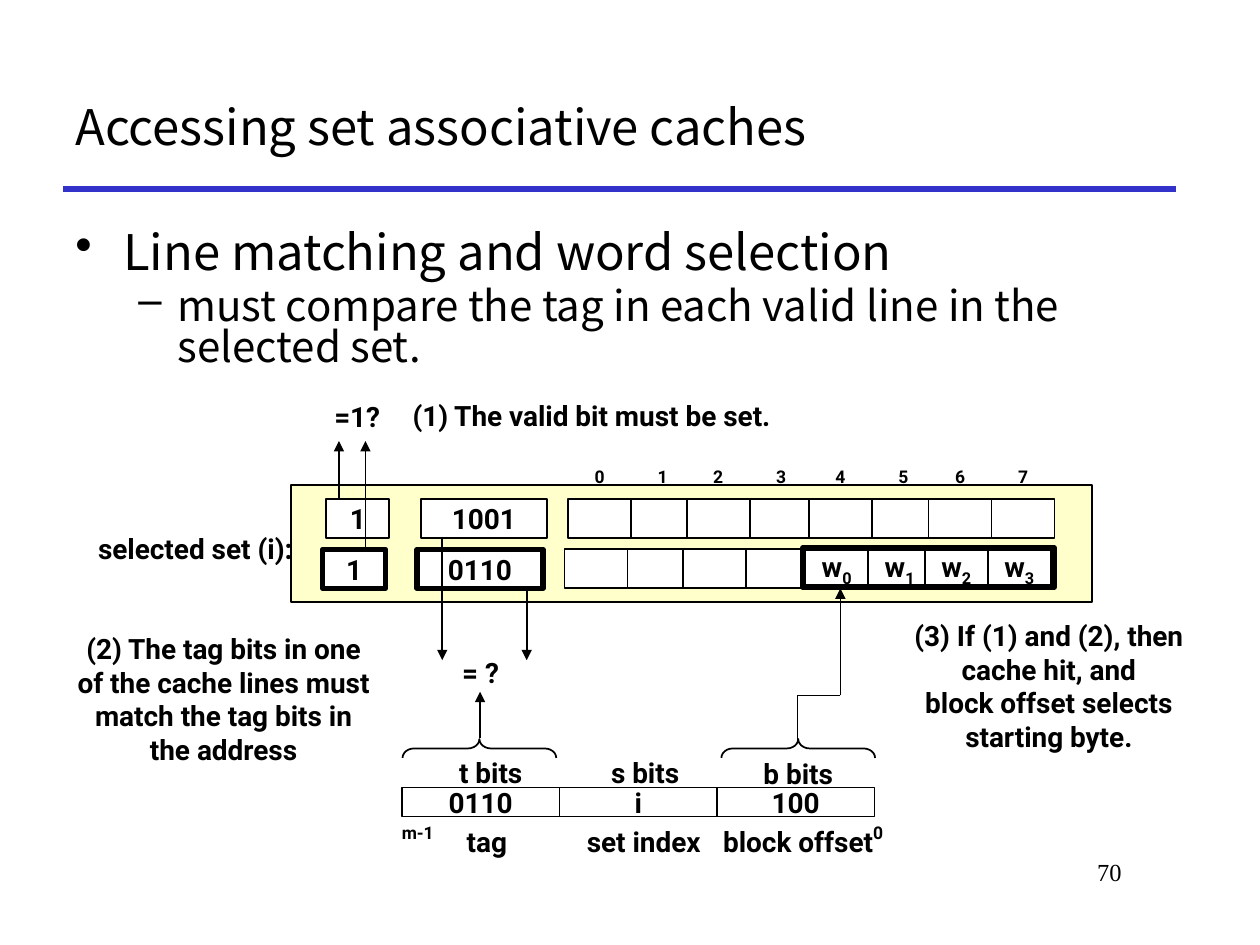
import itertools

import pptx
import pptx.chart.data
import pptx.dml.color
import pptx.enum.shapes
import pptx.enum.text
import pptx.oxml
import pptx.oxml.ns
import pptx.util
from pptx.util import Inches

SHAPE = pptx.enum.shapes.MSO_SHAPE
ALIGN = pptx.enum.text.PP_ALIGN
ANCHOR = pptx.enum.text.MSO_ANCHOR

THEME = {
    "ink": "000000", "rule": "3333CC", "set": "FFFF99", "cell": "FFFFFF",
    "thin": 1, "thick": 3,
    "title": {"name": "Noto Sans CJK KR", "size": 28, "bold": False},
    "detail": {"name": "Noto Sans CJK KR", "size": 24, "bold": False},
    "label": {"name": "Roboto", "size": 16, "bold": True},
    "small": {"name": "Roboto", "size": 10, "bold": True},
    "page": {"name": "Times New Roman", "size": 14, "bold": False},
}

TITLE = "Accessing set associative caches"
BULLETS = [
    ("Line matching and word selection", "title", "•", 0, 0.38, 0.38, 0),
    ("must compare the tag in each valid line in the selected set.",
     "detail", "–", 1, 0.81, 0.31, 4.8),
]
CACHE_LINES = [
    {"left": 2.59, "top": 3.96, "border": "thin", "valid": "1", "tag": "1001",
     "words": [""] * 8},
    {"left": 2.56, "top": 4.36, "border": "thick", "valid": "1", "tag": "0110",
     "words": [""] * 4 + ["w_0", "w_1", "w_2", "w_3"]},
]
WORD_OFFSETS = [1.92, 2.42, 2.86, 3.36, 3.83, 4.33, 4.78, 5.28]
CELL_W, CELL_H = 0.5, 0.31
SET_BOX = (2.31, 3.85, 6.36, 0.93)
SELECTED_WORDS = (6.37, 4.35, 2, CELL_H)
ADDRESS_FIELDS = ["0110", "i", "100"]
CAPTIONS = [
    ("t bits", (3.53, 5.95, 0.73, 0.36)),
    ("s bits", (4.73, 5.95, 0.78, 0.36)),
    ("b bits", (5.94, 5.96, 0.79, 0.36)),
    ("tag", (3.6, 6.5, 0.53, 0.36)),
    ("set index", (4.53, 6.5, 1.16, 0.36)),
    ("block offset", (5.61, 6.5, 1.45, 0.36)),
    ("selected set (i):", (0.64, 4.17, 1.82, 0.37)),
    ("=1?", (2.54, 3.12, 0.59, 0.37)),
    ("= ?", (3.55, 5.15, 0.53, 0.37)),
    ("(1) The valid bit must be set.", (3.1, 3.11, 3.19, 0.37)),
]
NOTES = [
    (["(2) The tag bits in one", "of the cache lines must",
      "match the tag bits in", "the address"], (0, 4.96, 3.55, 1.17)),
    (["(3) If (1) and (2), then", "cache hit, and",
      "block offset selects", "starting byte."], (6.74, 4.86, 3.17, 1.17)),
]
BRACES = [(6.26, 5.33, 0.15, 1.22), (3.73, 5.33, 0.15, 1.22)]
ARROWS = [
    [(3.81, 5.86), (3.81, 5.49)],
    [(2.69, 3.95), (2.69, 3.5)],
    [(2.9, 4.35), (2.9, 3.5)],
    [(4.18, 4.65), (4.18, 5.24)],
    [(3.51, 4.26), (3.51, 5.24)],
    [(6.33, 5.89), (6.33, 5.52), (6.67, 5.52), (6.67, 4.67)],
]


def color(key):
    return pptx.dml.color.RGBColor.from_string(THEME[key])


def add_xml(parent, tag, **values):
    node = pptx.oxml.parse_xml(f'<a:{tag} {pptx.oxml.ns.nsdecls("a")}/>')
    for key, value in values.items():
        node.set(key, str(value))
    parent.append(node)
    return node


def apply(target, values):
    for key, value in values.items():
        setattr(target, key, value)


def add_run(paragraph, text, role):
    run = paragraph.add_run()
    run.text = text
    apply(run.font, {**THEME[role], "size": pptx.util.Pt(THEME[role]["size"])})
    run.font.color.rgb = color("ink")
    return run


def write(shape, lines, role="label", align=ALIGN.CENTER, wrap=False, anchor=ANCHOR.MIDDLE):
    frame = shape.text_frame
    apply(frame, {"word_wrap": wrap, "vertical_anchor": anchor})
    for index, line in enumerate(lines):
        paragraph = frame.add_paragraph() if index else frame.paragraphs[0]
        paragraph.alignment = align
        base, _, subscript = line.partition("_")
        add_run(paragraph, base, role)
        if subscript:
            add_run(paragraph, subscript, role).font._element.set("baseline", "-25000")


def add_text(slide, place, lines, **options):
    write(slide.shapes.add_textbox(*map(Inches, place)), lines, **options)


def add_outline(slide, place, border="thin", fill=None, text="", kind=SHAPE.RECTANGLE):
    shape = slide.shapes.add_shape(kind, *map(Inches, place))
    shape.shadow.inherit = False
    if fill:
        shape.fill.solid()
        shape.fill.fore_color.rgb = color(fill)
    else:
        shape.fill.background()
    shape.line.color.rgb = color("ink")
    shape.line.width = pptx.util.Pt(THEME[border])
    if text:
        write(shape, [text])
    return shape


def add_line(slide, start, end, ink="ink", width="thin", arrow=False):
    ends = map(Inches, (*start, *end))
    line = slide.shapes.add_connector(pptx.enum.shapes.MSO_CONNECTOR.STRAIGHT, *ends)
    line.line.color.rgb = color(ink)
    line.line.width = pptx.util.Pt(THEME[width])
    if arrow:
        add_xml(line.line._get_or_add_ln(), "tailEnd", type="triangle")
    add_xml(line._element.spPr, "effectLst")


def add_heading(slide):
    add_line(slide, (0.5, 1.5), (9.33, 1.5), "rule", "thick")
    add_text(slide, (0.5, 0.5, 8.83, 1), [TITLE], role="title", align=ALIGN.LEFT, wrap=True)
    add_text(slide, (7.58, 6.75, 1.42, 0.5), ["70"], role="page",
             align=ALIGN.RIGHT, wrap=True, anchor=ANCHOR.TOP)
    frame = slide.shapes.add_textbox(*map(Inches, (0.5, 1.79, 9.08, 1.5))).text_frame
    frame.word_wrap = True
    for index, (text, role, mark, level, margin, hang, before) in enumerate(BULLETS):
        paragraph = frame.add_paragraph() if index else frame.paragraphs[0]
        apply(paragraph, {"level": level, "line_spacing": 0.82,
                          "space_before": pptx.util.Pt(before)})
        properties = paragraph._p.get_or_add_pPr()
        properties.set("marL", str(Inches(margin)))
        properties.set("indent", str(-Inches(hang)))
        add_xml(properties, "buChar", char=mark)
        add_run(paragraph, text, role)


def add_cache_set(slide):
    box = add_outline(slide, SET_BOX, fill="set")
    add_xml(box.fill._xPr.solidFill[0], "alpha", val=50000)
    for line in CACHE_LINES:
        left, top = line["left"], line["top"]
        add_outline(slide, (left, top, CELL_W, CELL_H), line["border"], "cell", line["valid"])
        add_outline(slide, (left + 0.75, top, 1, CELL_H), line["border"], "cell", line["tag"])
        for offset, word in zip(WORD_OFFSETS, line["words"]):
            add_outline(slide, (left + offset, top, CELL_W, CELL_H), "thin", "cell", word)
    add_outline(slide, SELECTED_WORDS, "thick")
    for number, offset in enumerate(WORD_OFFSETS):
        place = (CACHE_LINES[0]["left"] + offset, 3.63, CELL_W, CELL_H)
        add_text(slide, place, [str(number)], role="small")


def add_address(slide):
    for index, bits in enumerate(ADDRESS_FIELDS):
        add_outline(slide, (3.19 + 1.25 * index, 6.25, 1.25, 0.23), text=bits)
    add_text(slide, (3.09, 6.47, 0.45, 0.27), ["m-1"], role="small", wrap=True)
    add_text(slide, (6.83, 6.47, 0.28, 0.27), ["0"], role="small")
    for place in BRACES:
        brace = add_outline(slide, place, kind=SHAPE.RIGHT_BRACE)
        brace.rotation = 270
        brace.adjustments[0] = 0.61


def main():
    """Build the slide on line matching and word selection in a set associative cache."""
    deck = pptx.Presentation()
    apply(deck, {"slide_width": Inches(10), "slide_height": Inches(7.5)})
    slide = deck.slides.add_slide(deck.slide_layouts[6])
    add_heading(slide)
    add_cache_set(slide)
    add_address(slide)
    for text, place in CAPTIONS:
        add_text(slide, place, [text])
    for lines, place in NOTES:
        add_text(slide, place, lines, wrap=True)
    for points in ARROWS:
        for start, end in itertools.pairwise(points):
            add_line(slide, start, end, arrow=end == points[-1])
    deck.save("out.pptx")


if __name__ == "__main__":
    main()
